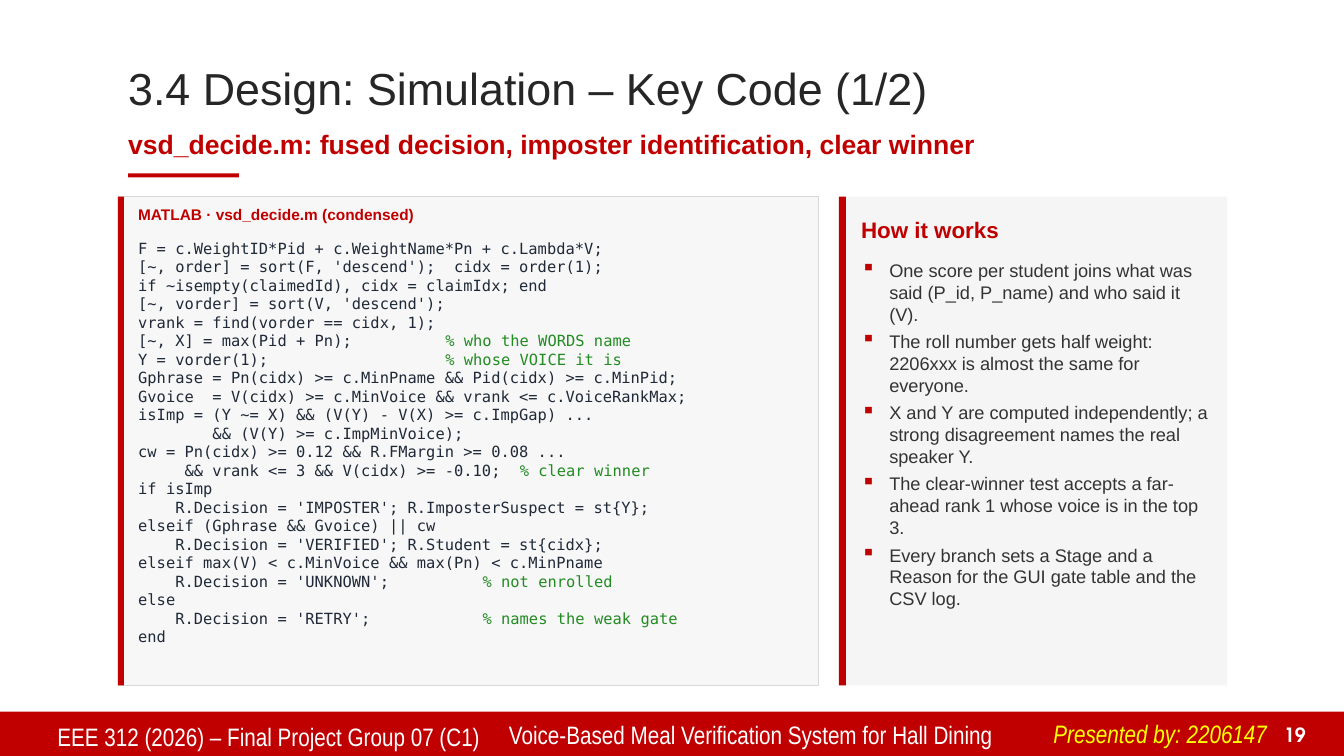
from typing import NamedTuple, Optional

import lxml.etree
import pptx
import pptx.dml.color
import pptx.enum.shapes
import pptx.enum.text
import pptx.oxml.ns
import pptx.util

RGB = pptx.dml.color.RGBColor
ANCHOR = pptx.enum.text.MSO_ANCHOR
ALIGN = pptx.enum.text.PP_ALIGN
FIT = pptx.enum.text.MSO_AUTO_SIZE

RED = RGB(0xC0, 0x00, 0x00)
WHITE = RGB(0xFF, 0xFF, 0xFF)
YELLOW = RGB(0xFF, 0xFF, 0x00)
DARK = RGB(0x26, 0x26, 0x26)
GREY = RGB(0x33, 0x33, 0x33)
NAVY = RGB(0x1F, 0x29, 0x37)
GREEN = RGB(0x22, 0x8B, 0x22)
EDGE = RGB(0xD9, 0xD9, 0xD9)
PALE = RGB(0xF7, 0xF7, 0xF7)
MIST = RGB(0xF5, 0xF5, 0xF5)

# The grid has 100 columns and 100 rows
WIDE = pptx.util.Inches(13.33)
HIGH = pptx.util.Inches(7.5)
TOP, TALL = 26, 64.67


class Area(NamedTuple):
    col: float
    row: float
    cols: float
    rows: float


class Panel(NamedTuple):
    col: float
    cols: float
    bar: float
    fill: RGB
    edge: Optional[RGB]


class Label(NamedTuple):
    area: Area
    text: str
    size: float
    color: RGB
    face: str = "Arial"
    font: dict = {"bold": True}
    frame: dict = {}
    para: dict = {}
    inset: bool = False


def apply(target, values: dict) -> None:
    for name, value in values.items():
        setattr(target, name, value)


def place(area: Area) -> tuple:
    return (int(WIDE * area.col / 100), int(HIGH * area.row / 100),
            int(WIDE * area.cols / 100), int(HIGH * area.rows / 100))


def style(face: str, size: float, color: RGB, font, more: dict) -> None:
    apply(font, {"name": face, "size": pptx.util.Pt(size), **more})
    font.color.rgb = color


def block(slide, area: Area, fill: RGB, edge: Optional[RGB] = None) -> None:
    shape = slide.shapes.add_shape(
        pptx.enum.shapes.MSO_SHAPE.RECTANGLE, *place(area))
    shape.shadow.inherit = False
    shape.fill.solid()
    shape.fill.fore_color.rgb = fill
    if edge is None:
        shape.line.fill.background()
    else:
        shape.line.color.rgb = edge
        shape.line.width = pptx.util.Pt(0.5)


def text_box(slide, area: Area, inset: bool, values: dict):
    frame = slide.shapes.add_textbox(*place(area)).text_frame
    frame.word_wrap = True
    if not inset:
        sides = ("left", "top", "right", "bottom")
        apply(frame, {f"margin_{side}": 0 for side in sides})
    apply(frame, values)
    return frame


def label(slide, item: Label) -> None:
    frame = text_box(slide, item.area, item.inset, item.frame)
    para = frame.paragraphs[0]
    apply(para, item.para)
    run = para.add_run()
    run.text = item.text
    style(item.face, item.size, item.color, run.font, item.font)


def next_para(frame, index: int):
    return frame.add_paragraph() if index else frame.paragraphs[0]


def code(slide, area: Area, lines: list) -> None:
    frame = text_box(slide, area, False, {})
    for index, line in enumerate(lines):
        para = next_para(frame, index)
        body, mark, note = line.partition("%")
        for text, color in ((body, NAVY), (mark + note, GREEN)):
            if text:
                run = para.add_run()
                run.text = text
                style("DejaVu Sans Mono", 11, color, run.font, {})


def bullets(slide, area: Area, items: list) -> None:
    frame = text_box(slide, area, False, {})
    indent = pptx.util.Inches(0.28)
    for index, item in enumerate(items):
        para = next_para(frame, index)
        para.space_after = pptx.util.Pt(4)
        props = para._p.get_or_add_pPr()
        props.set("marL", str(indent))
        props.set("indent", str(-indent))
        tag = pptx.oxml.ns.qn
        tint = lxml.etree.SubElement(props, tag("a:buClr"))
        lxml.etree.SubElement(tint, tag("a:srgbClr"), val=str(RED))
        lxml.etree.SubElement(props, tag("a:buSzPct"), val="110000")
        lxml.etree.SubElement(props, tag("a:buChar"), char="▪")
        run = para.add_run()
        run.text = item
        style("Arial", 13, GREY, run.font, {})


PANELS = [
    Panel(8.78, 52.14, 0.45, PALE, EDGE),
    Panel(62.42, 28.88, 0.53, MIST, None),
]

FOOT = {"face": "Arial Narrow", "font": {}, "inset": True}
HEAD = {"para": {"space_after": pptx.util.Pt(6)}}
MID = {"vertical_anchor": ANCHOR.MIDDLE}

LABELS = [
    Label(Area(3.53, 94.8, 33.38, 5.2),
          "EEE 312 (2026) – Final Project Group 07 (C1)", 18, WHITE, **FOOT),
    Label(Area(37.13, 94.53, 40.14, 5.47),
          "Voice-Based Meal Verification System for Hall Dining",
          18, WHITE, **FOOT),
    Label(Area(93.62, 94.8, 4.28, 4.53), "19", 14, WHITE,
          "TeX Gyre Adventor", frame={"vertical_anchor": ANCHOR.BOTTOM},
          para={"alignment": ALIGN.RIGHT}, inset=True),
    Label(Area(77.64, 94.4, 18.15, 5.33), "Presented by: 2206147", 18, YELLOW,
          "Arial Narrow", {"italic": True},
          {"word_wrap": False, "auto_size": FIT.SHAPE_TO_FIT_TEXT},
          inset=True),
    Label(Area(9.53, 16, 81.77, 6.13),
          "vsd_decide.m: fused decision, imposter identification, clear winner",
          19, RED, frame=MID, **HEAD),
    Label(Area(10.28, 27.07, 49.89, 4), "MATLAB · vsd_decide.m (condensed)",
          11, RED, **HEAD),
    Label(Area(64.07, 27.6, 26.18, 5.6), "How it works", 16, RED,
          frame=MID, **HEAD),
]

CODE = [
    "F = c.WeightID*Pid + c.WeightName*Pn + c.Lambda*V;",
    "[~, order] = sort(F, 'descend');  cidx = order(1);",
    "if ~isempty(claimedId), cidx = claimIdx; end",
    "[~, vorder] = sort(V, 'descend');",
    "vrank = find(vorder == cidx, 1);",
    "[~, X] = max(Pid + Pn);          % who the WORDS name",
    "Y = vorder(1);                   % whose VOICE it is",
    "Gphrase = Pn(cidx) >= c.MinPname && Pid(cidx) >= c.MinPid;",
    "Gvoice  = V(cidx) >= c.MinVoice && vrank <= c.VoiceRankMax;",
    "isImp = (Y ~= X) && (V(Y) - V(X) >= c.ImpGap) ...",
    "        && (V(Y) >= c.ImpMinVoice);",
    "cw = Pn(cidx) >= 0.12 && R.FMargin >= 0.08 ...",
    "     && vrank <= 3 && V(cidx) >= -0.10;  % clear winner",
    "if isImp",
    "    R.Decision = 'IMPOSTER'; R.ImposterSuspect = st{Y};",
    "elseif (Gphrase && Gvoice) || cw",
    "    R.Decision = 'VERIFIED'; R.Student = st{cidx};",
    "elseif max(V) < c.MinVoice && max(Pn) < c.MinPname",
    "    R.Decision = 'UNKNOWN';          % not enrolled",
    "else",
    "    R.Decision = 'RETRY';            % names the weak gate",
    "end",
]

POINTS = [
    "One score per student joins what was said (P_id, P_name) and who said it (V).",
    "The roll number gets half weight: 2206xxx is almost the same for everyone.",
    "X and Y are computed independently; a strong disagreement names the real speaker Y.",
    "The clear-winner test accepts a far-ahead rank 1 whose voice is in the top 3.",
    "Every branch sets a Stage and a Reason for the GUI gate table and the CSV log.",
]


def main() -> None:
    deck = pptx.Presentation()
    apply(deck, {"slide_width": WIDE, "slide_height": HIGH})
    slide = deck.slides.add_slide(deck.slide_layouts[5])

    # Title
    title = slide.shapes.title
    spot = place(Area(8.78, 6.67, 82.52, 10.67))
    apply(title, dict(zip(("left", "top", "width", "height"), spot)))
    title.text_frame.text = "3.4 Design: Simulation – Key Code (1/2)"
    apply(title.text_frame, {**MID, "auto_size": FIT.NONE})
    para = title.text_frame.paragraphs[0]
    apply(para, {"alignment": ALIGN.LEFT, "line_spacing": 0.9})
    style("Arial", 32, DARK, para.runs[0].font, {})

    # Footer band, title rule and panels
    block(slide, Area(0, 94.13, 100, 5.87), RED)
    block(slide, Area(9.53, 22.93, 8.25, 0.53), RED)
    for panel in PANELS:
        block(slide, Area(panel.col, TOP, panel.cols, TALL),
              panel.fill, panel.edge)
        block(slide, Area(panel.col, TOP, panel.bar, TALL), RED)

    # Labels, code and bullets
    for item in LABELS:
        label(slide, item)
    code(slide, Area(10.28, 31.6, 49.89, 58), CODE)
    bullets(slide, Area(64.07, 34.27, 26.18, 55.07), POINTS)
    deck.save("out.pptx")


if __name__ == "__main__":
    main()
